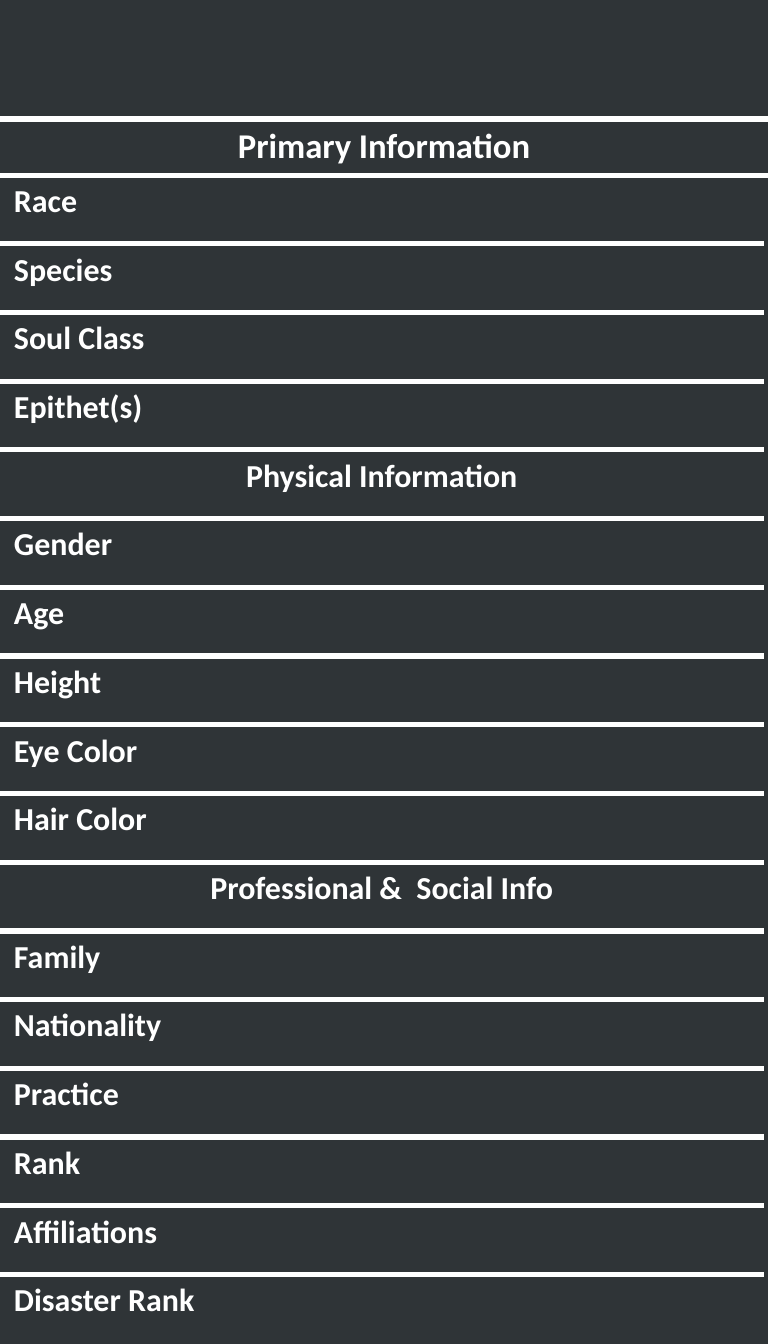
from dataclasses import dataclass

import pptx
import pptx.dml.color
import pptx.enum.text
import pptx.oxml
import pptx.oxml.ns
import pptx.util

EMU_PER_PIXEL = 914400 // 192


@dataclass(frozen=True)
class Theme:
    """Colours, type and line widths of the profile sheet."""
    background: str = "2F3437"
    ink: str = "FFFFFF"
    font: str = "Calibri"
    title_size: float = 13
    field_size: float = 12
    rule_width: float = 2.25


@dataclass(frozen=True)
class Row:
    """One line of the sheet; a heading is centred across all columns."""
    label: str
    heading: bool = False


@dataclass(frozen=True)
class Section:
    """A table of equal rows, placed in pixels."""
    left: int
    top: int
    width: int
    height: int
    rows: tuple[Row, ...]
    columns: int = 1
    size: float = Theme.field_size
    top_rule: bool = False
    bottom_rule: bool = False


THEME = Theme()
SIDE_INSET, END_INSET = 14, 7

PROFILE_ROWS = (
    *map(Row, ("Race", "Species", "Soul Class", "Epithet(s)")),
    Row("Physical Information", heading=True),
    *map(Row, ("Gender", "Age ", "Height", "Eye Color", "Hair Color")),
    Row("Professional &  Social Info", heading=True),
    *map(Row, ("Family", "Nationality", "Practice", "Rank",
               "Affiliations", "Disaster Rank")),
)

SECTIONS = (
    Section(0, 175, 764, 1169, PROFILE_ROWS, columns=2, top_rule=True),
    Section(4, 0, 764, 119, (Row(""),), bottom_rule=True),
    Section(0, 119, 768, 56, (Row("Primary Information", heading=True),),
            size=THEME.title_size, top_rule=True, bottom_rule=True),
)


def px(pixels: float) -> int:
    """Turn pixels into EMU."""
    return pptx.util.Emu(round(pixels * EMU_PER_PIXEL))


def rgb(colour: str) -> pptx.dml.color.RGBColor:
    """Turn a hex string into a colour."""
    return pptx.dml.color.RGBColor.from_string(colour)


def set_rules(cell, above: bool, below: bool) -> None:
    """Draw the horizontal borders asked for and clear all others."""
    properties = cell._tc.get_or_add_tcPr()
    edges = (("lnL", False), ("lnR", False), ("lnT", above), ("lnB", below))
    for position, (edge, visible) in enumerate(edges):
        paint = (f'<a:solidFill><a:srgbClr val="{THEME.ink}"/></a:solidFill>'
                 if visible else "<a:noFill/>")
        border = pptx.oxml.parse_xml(
            f'<a:{edge} {pptx.oxml.ns.nsdecls("a")} '
            f'w="{pptx.util.Pt(THEME.rule_width)}">{paint}</a:{edge}>')
        properties.insert(position, border)


def style_cell(cell, size: float) -> None:
    """Give a cell its fill, insets and type."""
    cell.fill.solid()
    cell.fill.fore_color.rgb = rgb(THEME.background)
    cell.margin_left = cell.margin_right = px(SIDE_INSET)
    cell.margin_top = cell.margin_bottom = px(END_INSET)
    font = cell.text_frame.paragraphs[0].font
    font.name, font.size, font.bold = THEME.font, pptx.util.Pt(size), True
    font.color.rgb = rgb(THEME.ink)


def add_section(slide, section: Section) -> None:
    """Add one section as a table."""
    row_count = len(section.rows)
    table = slide.shapes.add_table(
        row_count, section.columns, px(section.left), px(section.top),
        px(section.width), px(section.height)).table
    table.first_row = table.horz_banding = False
    for column in table.columns:
        column.width = px(section.width / section.columns)
    for index, row in enumerate(section.rows):
        table.rows[index].height = px(section.height / row_count)
        label = table.cell(index, 0)
        label.text = row.label
        for cell in table.rows[index].cells:
            style_cell(cell, section.size)
            set_rules(cell, index > 0 or section.top_rule,
                      index < row_count - 1 or section.bottom_rule)
        if row.heading:
            label.text_frame.paragraphs[0].alignment = pptx.enum.text.PP_ALIGN.CENTER
            if section.columns > 1:
                label.merge(table.cell(index, section.columns - 1))


def main() -> None:
    """Build the profile sheet and save it."""
    presentation = pptx.Presentation()
    presentation.slide_width, presentation.slide_height = px(768), px(1344)
    slide = presentation.slides.add_slide(presentation.slide_layouts[6])
    slide.background.fill.solid()
    slide.background.fill.fore_color.rgb = rgb(THEME.background)
    for section in SECTIONS:
        add_section(slide, section)
    presentation.save("out.pptx")


main()
